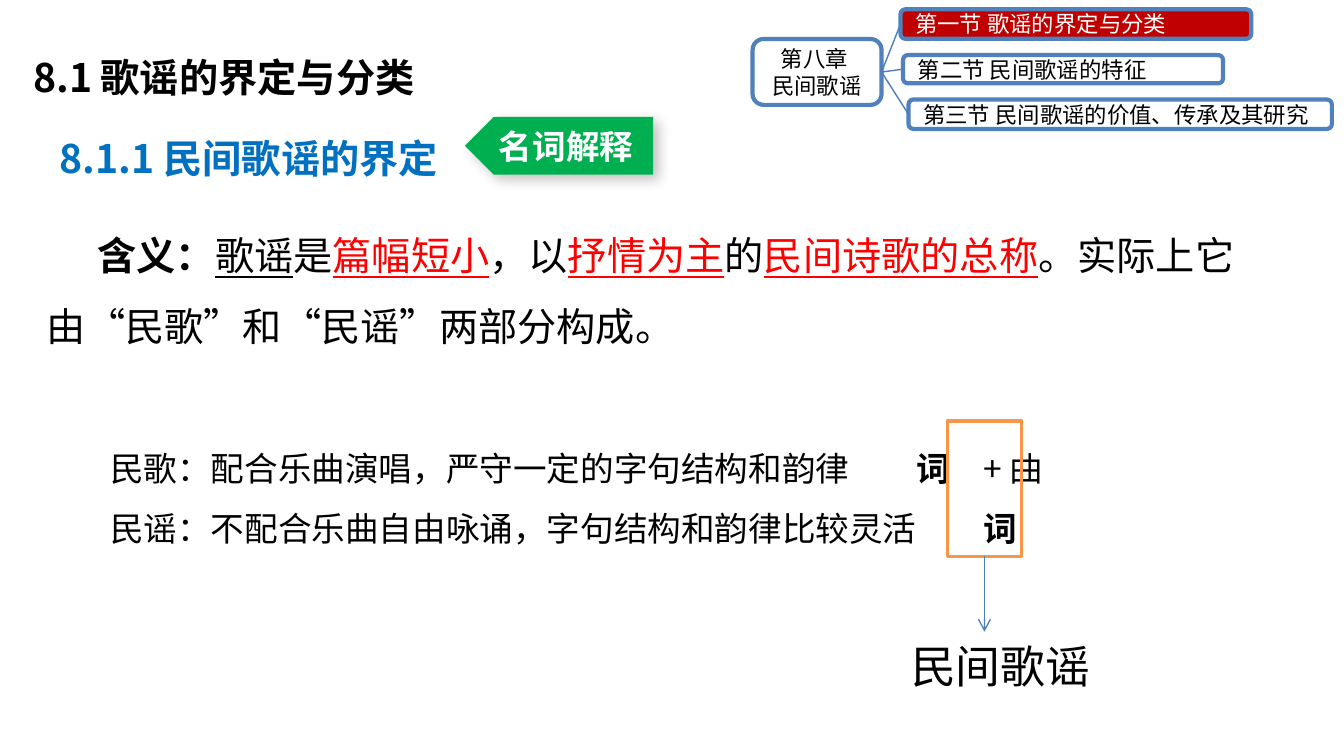
from lxml.etree import SubElement
from pptx import Presentation
from pptx.dml.color import RGBColor
from pptx.enum.shapes import MSO_CONNECTOR as Connector, MSO_SHAPE as Shape
from pptx.enum.text import MSO_ANCHOR as Anchor, MSO_AUTO_SIZE as AutoSize, PP_ALIGN as Align
from pptx.oxml.ns import qn
from pptx.util import Pt

FONT = "Noto Sans CJK SC"
BLACK, WHITE, RED, DARK_RED = "000000", "FFFFFF", "FF0000", "C00000"
BLUE, NODE_BLUE, LINK_BLUE = "0070C0", "4F81BD", "4B7EBC"
GREEN, ORANGE = "00B050", "F79646"


def color(hex_code):
    return RGBColor.from_string(hex_code)


def place(shape, box):
    shape.left, shape.top, shape.width, shape.height = map(Pt, box)


def add_run(paragraph, text, size, hue=BLACK, bold=False, underline=False):
    run = paragraph.add_run()
    run.text = text
    font = run.font
    font.name, font.size, font.bold, font.underline = FONT, Pt(size), bold, underline
    font.color.rgb = color(hue)
    SubElement(run._r.get_or_add_rPr(), qn("a:ea"), typeface=FONT)


def set_frame(frame, insets=(7.2, 3.6), anchor=Anchor.TOP, wrap=True, fit=AutoSize.NONE):
    frame.margin_left = frame.margin_right = Pt(insets[0])
    frame.margin_top = frame.margin_bottom = Pt(insets[1])
    frame.vertical_anchor, frame.word_wrap, frame.auto_size = anchor, wrap, fit


def format_paragraph(paragraph, spacing=1.0, indent=0, align=Align.LEFT, stops=()):
    paragraph.alignment, paragraph.line_spacing = align, spacing
    paragraph.space_before = Pt(0)
    props = paragraph._p.get_or_add_pPr()
    props.set("marL", "0")
    props.set("indent", str(Pt(indent)))
    SubElement(props, qn("a:buNone"))
    if stops:
        tabs = SubElement(props, qn("a:tabLst"))
        for stop in stops:
            SubElement(tabs, qn("a:tab"), pos=str(Pt(stop)), algn="l")


def add_text(slide, box, runs, insets=(7.2, 3.6), spacing=1.0, indent=0):
    """Text box with one paragraph; each run is (text, size, hue, bold, underline)."""
    text_box = slide.shapes.add_textbox(*map(Pt, box))
    set_frame(text_box.text_frame, insets, fit=AutoSize.SHAPE_TO_FIT_TEXT)
    paragraph = text_box.text_frame.paragraphs[0]
    format_paragraph(paragraph, spacing, indent)
    for run in runs:
        add_run(paragraph, *run)


def add_block(slide, kind, box, fill=None, line=None, width=2.25):
    block = slide.shapes.add_shape(kind, *map(Pt, box))
    block.shadow.inherit = False
    if fill:
        block.fill.solid()
        block.fill.fore_color.rgb = color(fill)
    else:
        block.fill.background()
    if line:
        block.line.color.rgb = color(line)
        block.line.width = Pt(width)
    else:
        block.line.fill.background()
    return block


def label(block, lines, size, hue=BLACK, bold=False, align=Align.CENTER, insets=(7.2, 3.6)):
    frame = block.text_frame
    set_frame(frame, insets, Anchor.MIDDLE)
    for i, line in enumerate(lines):
        paragraph = frame.add_paragraph() if i else frame.paragraphs[0]
        format_paragraph(paragraph, align=align)
        add_run(paragraph, line, size, hue, bold)


def add_link(slide, start, end, arrow=False):
    link = slide.shapes.add_connector(Connector.STRAIGHT, *map(Pt, (*start, *end)))
    link.line.color.rgb = color(LINK_BLUE)
    link.line.width = Pt(0.75)
    if arrow:
        SubElement(link.line._get_or_add_ln(), qn("a:tailEnd"), type="arrow")
    SubElement(link._element.spPr, qn("a:effectLst"))


def add_title(slide):
    title = slide.shapes.title
    place(title, (13, 13, 225.4, 43.9))
    set_frame(title.text_frame, (5, 2.9), wrap=False, fit=AutoSize.SHAPE_TO_FIT_TEXT)
    paragraph = title.text_frame.paragraphs[0]
    format_paragraph(paragraph, 1.5, stops=[46.5])
    add_run(paragraph, "8.1\t歌谣的界定与分类", 21, bold=True)


def add_comparison(slide):
    body = slide.placeholders[1]
    place(body, (51.8, 225.4, 637.2, 72.7))
    set_frame(body.text_frame)
    song = body.text_frame.paragraphs[0]
    format_paragraph(song, 1.5, stops=[444.5, 474])
    add_run(song, "民歌：配合乐曲演唱，严守一定的字句结构和韵律\t", 18)
    add_run(song, "词\t", 18, bold=True)
    add_run(song, "+ 曲", 18)
    rhyme = body.text_frame.add_paragraph()
    format_paragraph(rhyme, 1.5, stops=[451.5])
    add_run(rhyme, "民谣：不配合乐曲自由咏诵，字句结构和韵律比较灵活\t", 18)
    add_run(rhyme, "词", 18, bold=True)


def add_term_tag(slide):
    tag = add_block(slide, Shape.PENTAGON, (249.1, 62.6, 100.8, 31), GREEN)
    tag._element.spPr.find(qn("a:xfrm")).set("flipH", "1")
    label(tag, ["名词解释"], 18, WHITE, True, insets=(5, 2.9))
    # Soft shadow towards the lower right
    effects = tag._element.spPr.find(qn("a:effectLst"))
    shadow = SubElement(effects, qn("a:outerShdw"), blurRad=str(Pt(7)), dist=str(Pt(4)),
                        dir="2700000", algn="tl", rotWithShape="0")
    tint = SubElement(shadow, qn("a:srgbClr"), val=BLACK)
    SubElement(tint, qn("a:alpha"), val="24000")


def add_chapter_map(slide):
    chapter = add_block(slide, Shape.ROUNDED_RECTANGLE, (403.2, 20.9, 69.1, 35.3), line=NODE_BLUE)
    label(chapter, ["第八章 ", "民间歌谣"], 12)
    sections = [
        ("第一节 歌谣的界定与分类", (482.4, 5, 187.9, 15.8), DARK_RED, WHITE),
        ("第二节 民间歌谣的特征", (483.8, 29.5, 171.4, 15.1), None, BLACK),
        ("第三节 民间歌谣的价值、传承及其研究", (486.7, 53.3, 226.8, 15.8), None, BLACK),
    ]
    for name, box, fill, hue in sections:
        section = add_block(slide, Shape.ROUNDED_RECTANGLE, box, fill, NODE_BLUE)
        label(section, [name], 12, hue, align=Align.LEFT)
        left, top, _, height = box
        add_link(slide, (472.3, 38.6), (left, top + height / 2))


def main():
    deck = Presentation()
    deck.slide_width, deck.slide_height = Pt(720), Pt(405)
    slide = deck.slides.add_slide(deck.slide_layouts[1])

    # Headings and definition
    add_title(slide)
    add_text(slide, (0, 56.2, 280.1, 43.9), [("8.1.1 民间歌谣的界定", 21, BLUE, True)],
             (5, 2.9), 1.5, 27)
    definition = [
        ("含义：", 21, BLACK, True),
        ("歌谣", 21, BLACK, False, True),
        ("是", 21),
        ("篇幅短小", 21, RED, False, True),
        ("，以", 21),
        ("抒情为主", 21, RED, False, True),
        ("的", 21),
        ("民间诗歌的总称", 21, RED, False, True),
        ("。实际上它由“民歌”和“民谣”两部分构成。", 21),
    ]
    add_text(slide, (20.2, 108.7, 648, 81.4), definition, (5, 2.9), 1.5, 27)
    add_term_tag(slide)

    # Chapter overview
    add_chapter_map(slide)

    # Songs and rhymes, with their shared words framed
    add_comparison(slide)
    add_block(slide, Shape.RECTANGLE, (507.6, 225.4, 39.6, 72.7), line=ORANGE, width=2)
    add_text(slide, (481, 338.4, 149, 36), [("民间歌谣", 24)])
    add_link(slide, (527.4, 298.1), (527.4, 338.4), arrow=True)

    deck.save("out.pptx")


if __name__ == "__main__":
    main()
